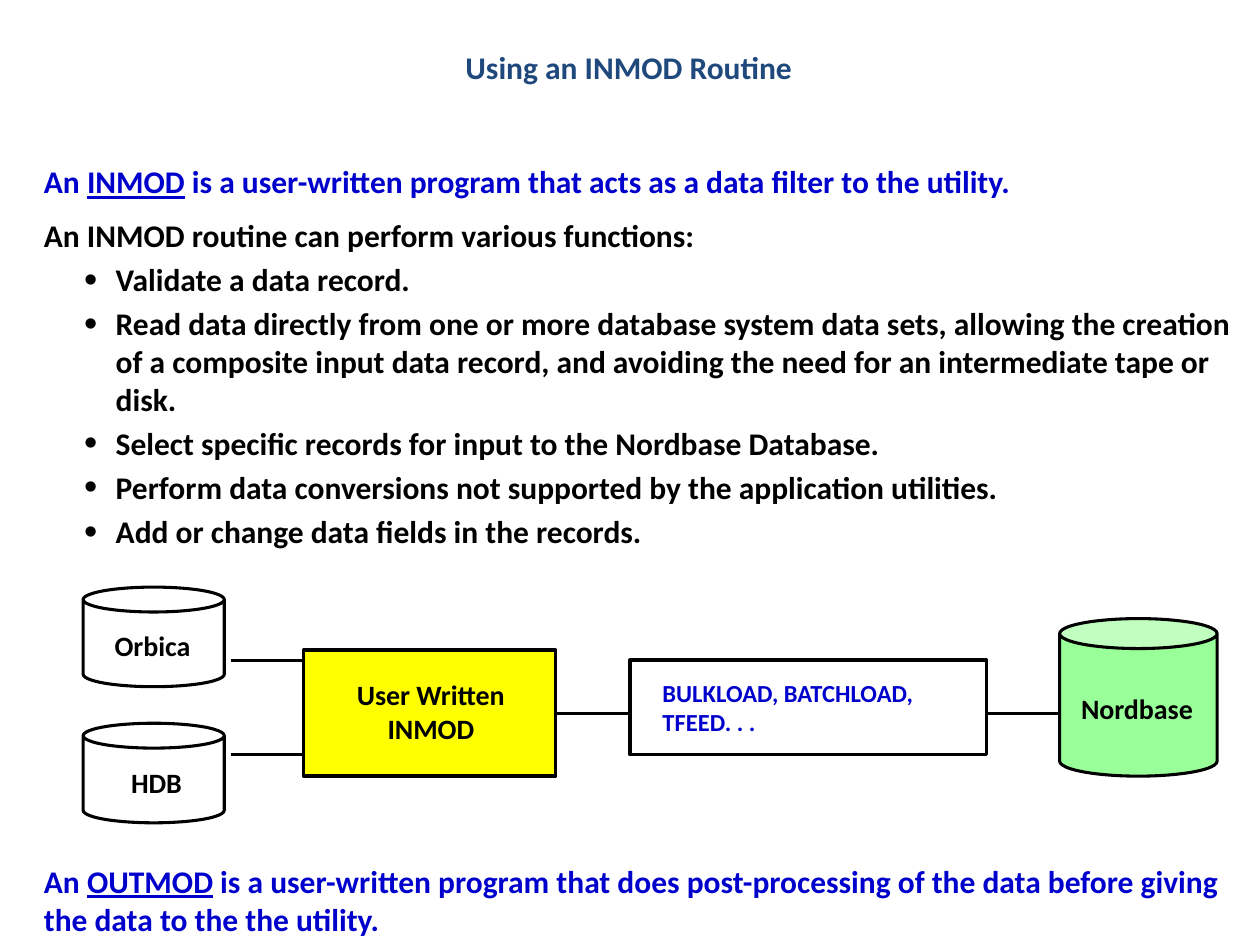
from lxml import etree
from pptx import Presentation
from pptx import util as u
from pptx.dml.color import RGBColor
from pptx.enum import shapes, text
from pptx.oxml.ns import qn

Inches, Pt = u.Inches, u.Pt
COLORS = {"title": "1F497D", "accent": "0000CC", "ink": "000000",
          "paper": "FFFFFF", "program": "FFFF00", "target": "99FF99"}

prs = Presentation()
prs.slide_width, prs.slide_height = Inches(10), Inches(7.5)
slide = prs.slides.add_slide(prs.slide_layouts[6])


def add_text(box, paragraphs, size=18, color="ink", wrap=False, inset=None, align=text.PP_ALIGN.LEFT):
    """Write bold paragraphs into a box; each is a dict or a plain string, and *word* parts are underlined."""
    left, top, width, height = (Inches(v) for v in box)
    frame = slide.shapes.add_textbox(left, top, width, height).text_frame
    frame.word_wrap = wrap
    if inset is not None:
        frame.margin_left = frame.margin_right = frame.margin_top = frame.margin_bottom = Inches(inset)
    for i, item in enumerate(paragraphs):
        item = {"words": item} if isinstance(item, str) else item
        para = frame.paragraphs[0] if i == 0 else frame.add_paragraph()
        para.alignment = align
        if "before" in item:
            para.space_before = Pt(item["before"])
        if item.get("bullet"):
            para.level = 1
            props = para._p.get_or_add_pPr()
            props.set("marL", str(Inches(0.57)))
            props.set("indent", str(Inches(-0.25)))
            etree.SubElement(props, qn("a:buSzPct"), val="120000")
            etree.SubElement(props, qn("a:buFont"), typeface="Arial")
            etree.SubElement(props, qn("a:buChar"), char="•")
        for row, line in enumerate(item["words"].split("\n")):
            if row:
                para.add_line_break()
            for j, part in enumerate(line.split("*")):
                run = para.add_run()
                run.text = part
                run.font.name, run.font.size, run.font.bold = "Calibri", Pt(size), True
                run.font.color.rgb = RGBColor.from_string(COLORS[item.get("color", color)])
                if j % 2:
                    run.font.underline = True


def add_block(kind, box, fill, weight, adjust=None):
    """Draw an outlined, filled preset shape."""
    block = slide.shapes.add_shape(kind, *(Inches(v) for v in box))
    block.shadow.inherit = False
    block.fill.solid()
    block.fill.fore_color.rgb = RGBColor.from_string(COLORS[fill])
    block.line.color.rgb = RGBColor.from_string(COLORS["ink"])
    block.line.width = Pt(weight)
    if adjust:
        block.adjustments[0] = adjust


# Title
add_text((3.58, 0.33, 2.82, 0.4), ["Using an INMOD Routine"], color="title", align=text.PP_ALIGN.CENTER)

# Definition and list of functions
functions = [
    "Validate a data record.",
    "Read data directly from one or more database system data sets, allowing the creation of a "
    "composite input data record, and avoiding the need for an intermediate tape or disk.",
    "Select specific records for input to the Nordbase Database.",
    "Perform data conversions not supported by the application utilities.",
    "Add or change data fields in the records.",
]
add_text((0.25, 1.24, 9.75, 3.26), [
    {"words": "An *INMOD* is a user-written program that acts as a data filter to the utility.",
     "color": "accent"},
    {"words": "An INMOD routine can perform various functions:", "before": 9},
    *({"words": words, "bullet": True, "before": 3.6} for words in functions),
], wrap=True)

# Databases: name, cylinder, cap ratio, fill, label box
can, rect = shapes.MSO_SHAPE.CAN, shapes.MSO_SHAPE.RECTANGLE
databases = [
    ("Nordbase", (8.41, 4.91, 1.25, 1.25), 0.19, "target", (8.58, 5.49, 0.93, 0.27)),
    ("Orbica", (0.66, 4.66, 1.12, 0.79), 0.25, "paper", (0.91, 4.99, 0.69, 0.27)),
    ("HDB", (0.66, 5.74, 1.12, 0.79), 0.25, "paper", (1.04, 6.08, 0.6, 0.27)),
]
for name, cylinder, cap, fill, label in databases:
    add_block(can, cylinder, fill, 1.75, cap)
    add_text(label, [name], size=16, inset=0)

# Load utilities
add_block(rect, (5, 5.24, 2.83, 0.75), "paper", 2)
add_text((5.16, 5.33, 2.56, 0.57), ["BULKLOAD, BATCHLOAD,\nTFEED. . ."], size=14, color="accent")

# User-written program
add_block(rect, (2.41, 5.16, 2, 1), "program", 2)
add_text((2.66, 5.33, 1.52, 0.64), ["User Written", "INMOD"], size=16, align=text.PP_ALIGN.CENTER)

# Data flow, left to right
for start, end, y in [(1.83, 2.41, 5.24), (1.83, 2.41, 5.99), (4.41, 5, 5.66), (7.83, 8.41, 5.66)]:
    flow = slide.shapes.add_connector(shapes.MSO_CONNECTOR.STRAIGHT,
                                      Inches(start), Inches(y), Inches(end), Inches(y))
    flow.line.color.rgb = RGBColor.from_string(COLORS["ink"])
    flow.line.width = Pt(1.75)
    etree.SubElement(flow._element.spPr, qn("a:effectLst"))

# Closing definition
add_text((0.25, 6.79, 9.75, 0.7), [
    "An *OUTMOD* is a user-written program that does post-processing of the data before giving "
    "the data to the the utility."], color="accent", wrap=True)

prs.save("out.pptx")
